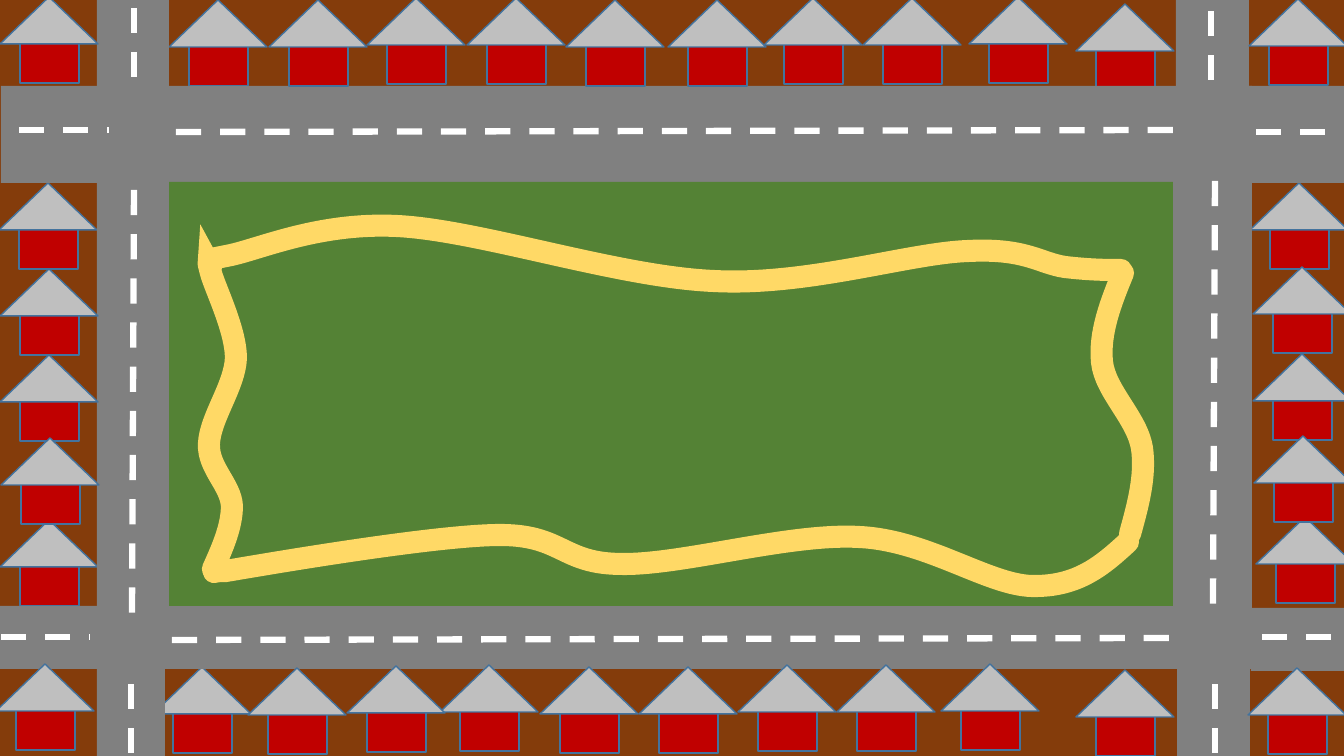
from dataclasses import dataclass

from lxml.etree import SubElement
from pptx import Presentation
from pptx.dml.color import RGBColor
from pptx.enum.dml import MSO_LINE
from pptx.enum.shapes import MSO_CONNECTOR, MSO_SHAPE
from pptx.oxml.ns import qn
from pptx.util import Pt

# Road map, in px: areas are left, top, width, height
GROUND = (0, 0, 1344, 756)
PARK = (169, 182, 1004, 424)
ROADS = [
    (97, 86, 1155, 583),
    (1, 86, 100, 97), (1246, 86, 100, 97),
    (-1, 606, 100, 63), (1251, 608, 100, 63),
    (97, 0, 72, 93), (1176, 0, 73, 93),
    (97, 666, 68, 93), (1177, 664, 73, 93),
]
# Left and top of each roof
HOUSES_BEHIND_ROADS = [
    (1076, 4), (169, 0), (-1, 183), (1250, 183),
    (0, 520), (153, 667), (1076, 670), (1256, 517),
]
HOUSES_IN_FRONT = {
    "left": [(0, 269), (0, 355), (1, 438)],
    "top": [(269, 0), (367, -2), (467, -2), (566, 0), (668, 0),
            (764, -2), (863, -2), (969, -3)],
    "bottom": [(440, 665), (540, 667), (639, 667), (738, 665),
               (837, 665), (941, 664), (248, 668), (347, 666)],
    "right": [(1253, 267), (1253, 354), (1254, 436)],
    "corners": [(0, -3), (-4, 664), (1248, 668), (1249, -1)],
}
# Start and end of each lane marking
LANES = [
    (176, 132, 1177, 130), (172, 640, 1173, 638),
    (134, 190, 132, 616), (1215, 181, 1213, 608),
    (1256, 132, 1346, 132), (19, 130, 109, 130),
    (1, 637, 90, 637), (1262, 637, 1351, 637),
    (1211, 80, 1211, -7), (134, 77, 134, -9),
    (131, 753, 131, 666), (1215, 753, 1215, 666),
]
# Each trail: its area, then a start point and three Bézier points a bend
TRAILS = {
    "north": ((207, 225, 914, 56), [
        (218, 258), (207, 260), (196, 262), (226, 256),
        (256, 251), (316, 222), (397, 226),
        (479, 230), (618, 277), (714, 281),
        (808, 286), (909, 253), (968, 251),
        (1026, 248), (1039, 263), (1065, 267),
        (1091, 270), (1106, 270), (1121, 270),
    ]),
    "west": ((209, 263, 27, 306), [
        (213, 569), (223, 547), (232, 526), (232, 506),
        (231, 485), (208, 468), (209, 444),
        (210, 418), (235, 386), (236, 358),
        (236, 330), (215, 288), (211, 273),
        (207, 258), (209, 263), (211, 268),
    ]),
    "south": ((214, 535, 914, 51), [
        (214, 572), (218, 571), (222, 571), (226, 571),
        (273, 563), (431, 536), (497, 535),
        (563, 534), (561, 564), (622, 564),
        (682, 565), (790, 533), (859, 537),
        (927, 540), (988, 585), (1032, 586),
        (1078, 587), (1103, 565), (1128, 542),
    ]),
    "east": ((1102, 273, 41, 261), [
        (1123, 273), (1111, 302), (1099, 333), (1102, 362),
        (1105, 391), (1137, 418), (1142, 448),
        (1146, 476), (1138, 505), (1130, 534),
    ]),
}


@dataclass(frozen=True)
class Theme:
    ground: str = "843C0B"
    road: str = "808080"
    park: str = "548235"
    wall: str = "C00000"
    roof: str = "BFBFBF"
    outline: str = "43739E"
    lane: str = "FFFFFF"
    trail: str = "FFD966"
    outline_width: float = 1
    lane_width: float = 4.5
    trail_width: float = 15.75


THEME = Theme()
PX = 914400 / 100.8
ROOF_SIZE = (98, 47)
WALL_SIZE = (59, 40)
WALL_OFFSET = (20, 46)


def emu(*lengths):
    return [round(length * PX) for length in lengths]


def set_line(line, color, width):
    line.color.rgb = RGBColor.from_string(color)
    line.width = Pt(width)


def add_area(shapes, area, color, preset=MSO_SHAPE.RECTANGLE, outline=None):
    shape = shapes.add_shape(preset, *emu(*area))
    shape.shadow.inherit = False
    shape.fill.solid()
    shape.fill.fore_color.rgb = RGBColor.from_string(color)
    if outline:
        set_line(shape.line, outline, THEME.outline_width)
    else:
        shape.line.fill.background()


def add_house(slide, left, top):
    house = slide.shapes.add_group_shape()
    wall_corner = (left + WALL_OFFSET[0], top + WALL_OFFSET[1])
    add_area(house.shapes, wall_corner + WALL_SIZE, THEME.wall,
             outline=THEME.outline)
    add_area(house.shapes, (left, top) + ROOF_SIZE, THEME.roof,
             MSO_SHAPE.ISOSCELES_TRIANGLE, THEME.outline)


def add_lane(slide, ends):
    lane = slide.shapes.add_connector(MSO_CONNECTOR.STRAIGHT, *emu(*ends))
    set_line(lane.line, THEME.lane, THEME.lane_width)
    lane.line.dash_style = MSO_LINE.DASH
    SubElement(lane.element.spPr, qn("a:effectLst"))


def add_path_step(path, tag, points, corner):
    step = SubElement(path, qn(tag))
    for x, y in points:
        dx, dy = emu(x - corner[0], y - corner[1])
        SubElement(step, qn("a:pt"), x=str(dx), y=str(dy))


def add_trail(slide, area, points):
    """Span the area with a freeform, then lay the Bézier bends in it."""
    left, top, width, height = area
    builder = slide.shapes.build_freeform(*emu(left, top))
    builder.add_line_segments([emu(left + width, top + height)], close=False)
    trail = builder.convert_to_shape()
    path = next(trail.element.iter(qn("a:path")))
    for straight_step in list(path):
        path.remove(straight_step)
    add_path_step(path, "a:moveTo", points[:1], area)
    for first in range(1, len(points), 3):
        add_path_step(path, "a:cubicBezTo", points[first:first + 3], area)

    trail.shadow.inherit = False
    trail.fill.background()
    set_line(trail.line, THEME.trail, THEME.trail_width)
    outline = next(trail.element.iter(qn("a:ln")))
    outline.set("cap", "rnd")
    SubElement(outline, qn("a:miter"), lim="800000")


def main():
    presentation = Presentation()
    presentation.slide_width, presentation.slide_height = emu(*GROUND[2:])
    slide = presentation.slides.add_slide(presentation.slide_layouts[6])

    add_area(slide.shapes, GROUND, THEME.ground)
    for corner in HOUSES_BEHIND_ROADS:
        add_house(slide, *corner)
    for road in ROADS:
        add_area(slide.shapes, road, THEME.road)
    add_area(slide.shapes, PARK, THEME.park)
    for row in HOUSES_IN_FRONT.values():
        for corner in row:
            add_house(slide, *corner)
    for ends in LANES:
        add_lane(slide, ends)
    for area, points in TRAILS.values():
        add_trail(slide, area, points)

    presentation.save("out.pptx")


if __name__ == "__main__":
    main()
